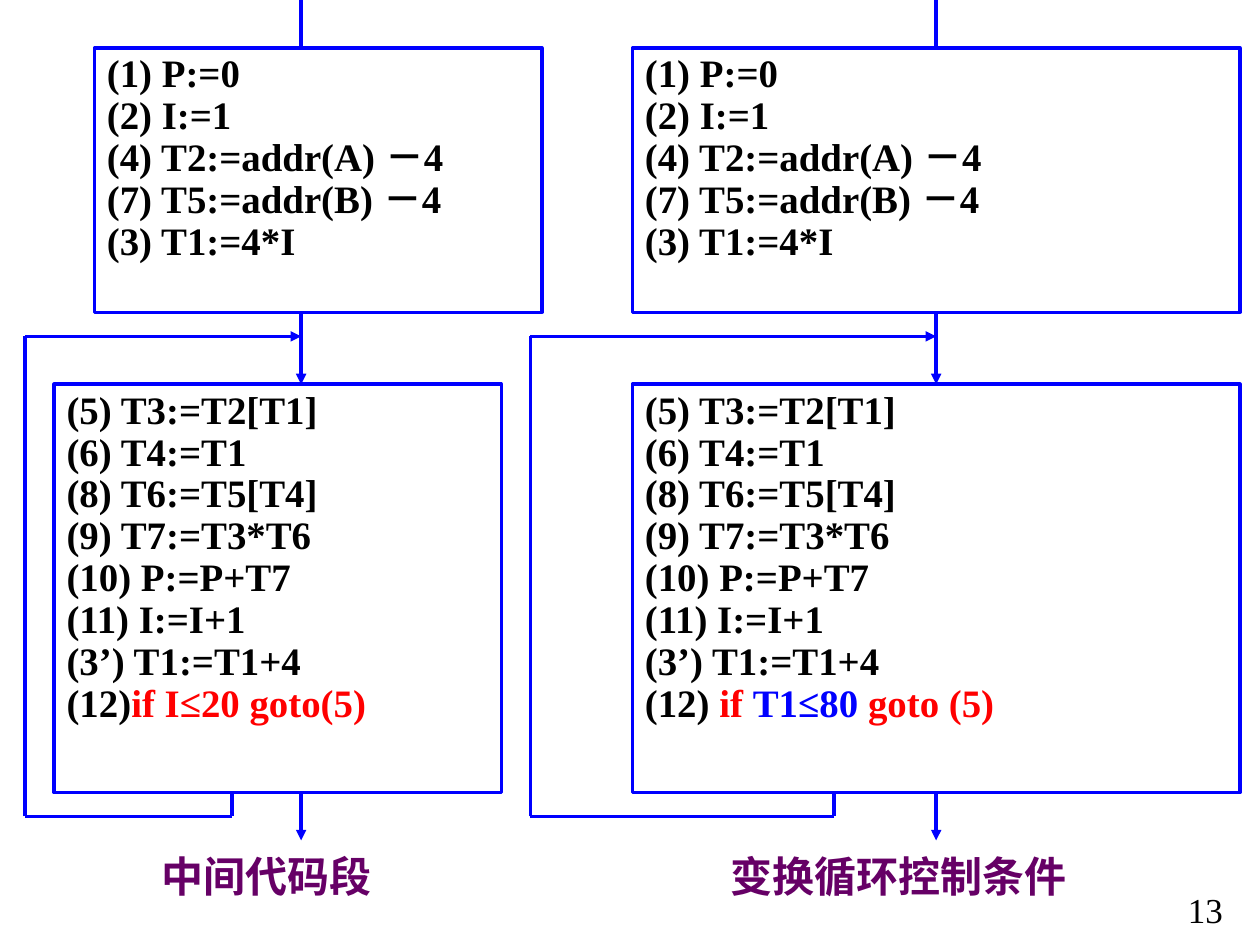
"""Build the slide comparing intermediate code before and after changing the loop condition."""
from dataclasses import dataclass
from typing import Optional

from lxml import etree
from pptx import Presentation
from pptx.dml.color import RGBColor
from pptx.enum.shapes import MSO_CONNECTOR, MSO_SHAPE
from pptx.enum.text import MSO_ANCHOR, PP_ALIGN
from pptx.oxml.ns import qn
from pptx.util import Emu, Pt

STRAIGHT = MSO_CONNECTOR.STRAIGHT
RECTANGLE = MSO_SHAPE.RECTANGLE
TOP = MSO_ANCHOR.TOP
JUSTIFY = PP_ALIGN.JUSTIFY
SCALE = 9144
TOP_SIDE, BOTTOM_SIDE = 0, 2
BLACK, WHITE, BLUE, RED, PURPLE = "000000", "FFFFFF", "0000FF", "FF0000", "660066"
LATIN, CJK = "Times New Roman", "Noto Sans CJK SC"
CODE_FORMAT = {"size": Pt(22.2), "name": LATIN, "bold": True}
CAPTION_FORMAT = {"size": Pt(24), "name": CJK, "bold": True}
NUMBER_FORMAT = {"size": Pt(20), "name": LATIN, "bold": False}

ENTRY_TOP, ENTRY_HEIGHT = 38, 210
LOOP_TOP, LOOP_HEIGHT = 305, 324
ENTRY_BOTTOM = ENTRY_TOP + ENTRY_HEIGHT
LOOP_BOTTOM = LOOP_TOP + LOOP_HEIGHT
RETURN_TOP, RETURN_BOTTOM, EXIT_BOTTOM = 267, 648, 667
CAPTION_TOP, CAPTION_HEIGHT = 675, 40

Line = list[tuple[str, str]]

ENTRY_CODE = ["(1) P:=0", "(2) I:=1", "(4) T2:=addr(A) －4",
              "(7) T5:=addr(B) －4", "(3) T1:=4*I"]
LOOP_CODE = ["(5) T3:=T2[T1]", "(6) T4:=T1", "(8) T6:=T5[T4]", "(9) T7:=T3*T6",
             "(10) P:=P+T7", "(11) I:=I+1", "(3’) T1:=T1+4"]


@dataclass
class Flow:
    """One flow chart: its caption, its columns in px and its loop condition."""
    caption: str
    caption_left: int
    caption_width: int
    entry_left: int
    loop_left: int
    box_width: int
    spine: int
    return_left: int
    return_right: int
    condition: Line


FLOWS = [
    Flow("中间代码段", 128, 183, 75, 43, 355, 239, 20, 184,
         [("(12)", BLACK), ("if I≤20 goto(5)", RED)]),
    Flow("变换循环控制条件", 580, 269, 502, 502, 482, 743, 421, 662,
         [("(12) ", BLACK), ("if ", RED), ("T1≤80 ", BLUE), ("goto (5)", RED)]),
]


def px(length: int) -> Emu:
    """Turn px into EMU."""
    return Emu(length * SCALE)


def color(value: str) -> RGBColor:
    """Return the colour of a hex string."""
    return RGBColor.from_string(value)


def add_runs(paragraph, line: Line, font_format: dict) -> None:
    """Add the coloured runs of one line."""
    for text, tint in line:
        run = paragraph.add_run()
        run.text = text
        for attribute, value in font_format.items():
            setattr(run.font, attribute, value)
        run.font.color.rgb = color(tint)
        east_asian = etree.SubElement(run.font._element, qn("a:ea"))
        east_asian.set("typeface", CJK)


def add_label(slide, left: int, top: int, width: int, height: int, text: str,
              tint: str, font_format: dict, margins: dict) -> None:
    """Add a one-line text box."""
    label = slide.shapes.add_textbox(px(left), px(top), px(width), px(height))
    frame = label.text_frame
    for attribute, value in margins.items():
        setattr(frame, attribute, value)
    add_runs(frame.paragraphs[0], [(text, tint)], font_format)


def add_code_box(slide, left: int, top: int, width: int, height: int, lines: list[Line]):
    """Add a bordered block of code lines."""
    block = slide.shapes.add_shape(RECTANGLE, px(left), px(top), px(width), px(height))
    block.shadow.inherit = False
    block.fill.solid()
    block.fill.fore_color.rgb = color(WHITE)
    block.line.color.rgb = color(BLUE)
    block.line.width = Pt(2)
    frame = block.text_frame
    frame.word_wrap = True
    frame.vertical_anchor = TOP
    for index, line in enumerate(lines):
        paragraph = frame.add_paragraph() if index else frame.paragraphs[0]
        paragraph.alignment = JUSTIFY
        paragraph.line_spacing = 0.9
        add_runs(paragraph, line, CODE_FORMAT)
    return block


def add_line(slide, start: tuple[int, int], end: tuple[int, int], arrow: bool = False,
             source: Optional[object] = None, target: Optional[object] = None) -> None:
    """Add a blue line, joined to the blocks it leaves or enters."""
    link = slide.shapes.add_connector(STRAIGHT, *map(px, start + end))
    link.line.color.rgb = color(BLUE)
    link.line.width = Pt(2)
    if arrow:
        etree.SubElement(link.line._get_or_add_ln(), qn("a:tailEnd")).set("type", "triangle")
    etree.SubElement(link._element.spPr, qn("a:effectLst"))
    if source is not None:
        link.begin_connect(source, BOTTOM_SIDE)
    if target is not None:
        link.end_connect(target, TOP_SIDE)


def add_flow(slide, flow: Flow) -> None:
    """Draw one flow chart with its return path and caption."""
    add_label(slide, flow.caption_left, CAPTION_TOP, flow.caption_width, CAPTION_HEIGHT,
              flow.caption, PURPLE, CAPTION_FORMAT,
              dict.fromkeys(("margin_left", "margin_top", "margin_right", "margin_bottom"), 0))
    entry_lines = [[(text, BLACK)] for text in ENTRY_CODE]
    loop_lines = [[(text, BLACK)] for text in LOOP_CODE] + [flow.condition]
    entry = add_code_box(slide, flow.entry_left, ENTRY_TOP, flow.box_width,
                         ENTRY_HEIGHT, entry_lines)
    loop = add_code_box(slide, flow.loop_left, LOOP_TOP, flow.box_width,
                        LOOP_HEIGHT, loop_lines)
    half = flow.box_width // 2
    entry_joint = entry if flow.entry_left + half == flow.spine else None
    loop_joint = loop if flow.loop_left + half == flow.spine else None
    add_line(slide, (flow.spine, 0), (flow.spine, ENTRY_TOP), target=entry_joint)
    add_line(slide, (flow.spine, ENTRY_BOTTOM), (flow.spine, LOOP_TOP), True,
             entry_joint, loop_joint)
    add_line(slide, (flow.spine, LOOP_BOTTOM), (flow.spine, EXIT_BOTTOM), True, loop_joint)
    corners = [(flow.return_right, LOOP_BOTTOM), (flow.return_right, RETURN_BOTTOM),
               (flow.return_left, RETURN_BOTTOM), (flow.return_left, RETURN_TOP),
               (flow.spine, RETURN_TOP)]
    for start, end in zip(corners, corners[1:]):
        add_line(slide, start, end, arrow=end == corners[-1])


def main() -> None:
    """Build and save the slide."""
    presentation = Presentation()
    presentation.slide_width, presentation.slide_height = px(1000), px(750)
    slide = presentation.slides.add_slide(presentation.slide_layouts[6])
    add_label(slide, 933, 700, 67, 44, "13", BLACK, NUMBER_FORMAT, {"word_wrap": True})
    for flow in FLOWS:
        add_flow(slide, flow)
    presentation.save("out.pptx")


if __name__ == "__main__":
    main()
